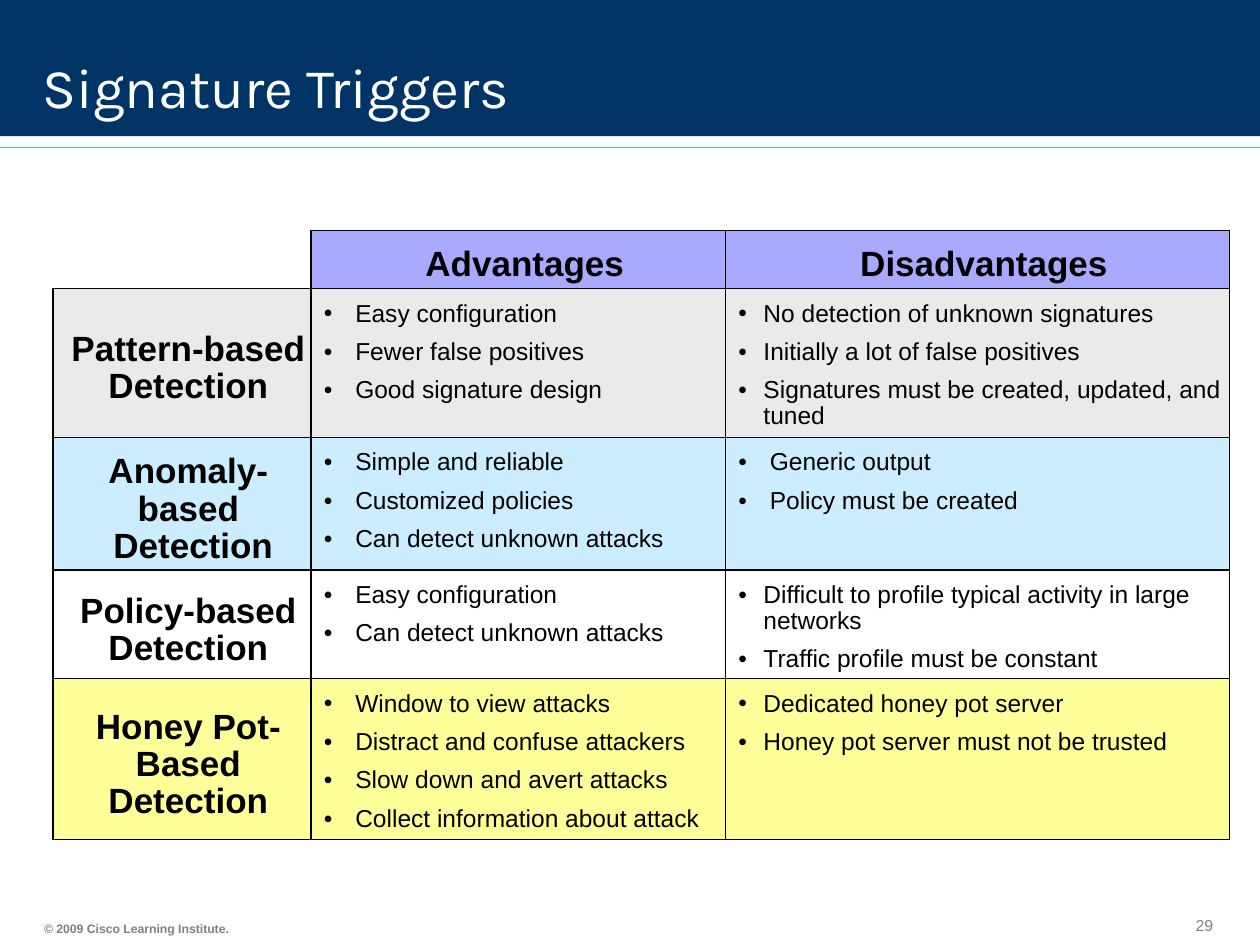
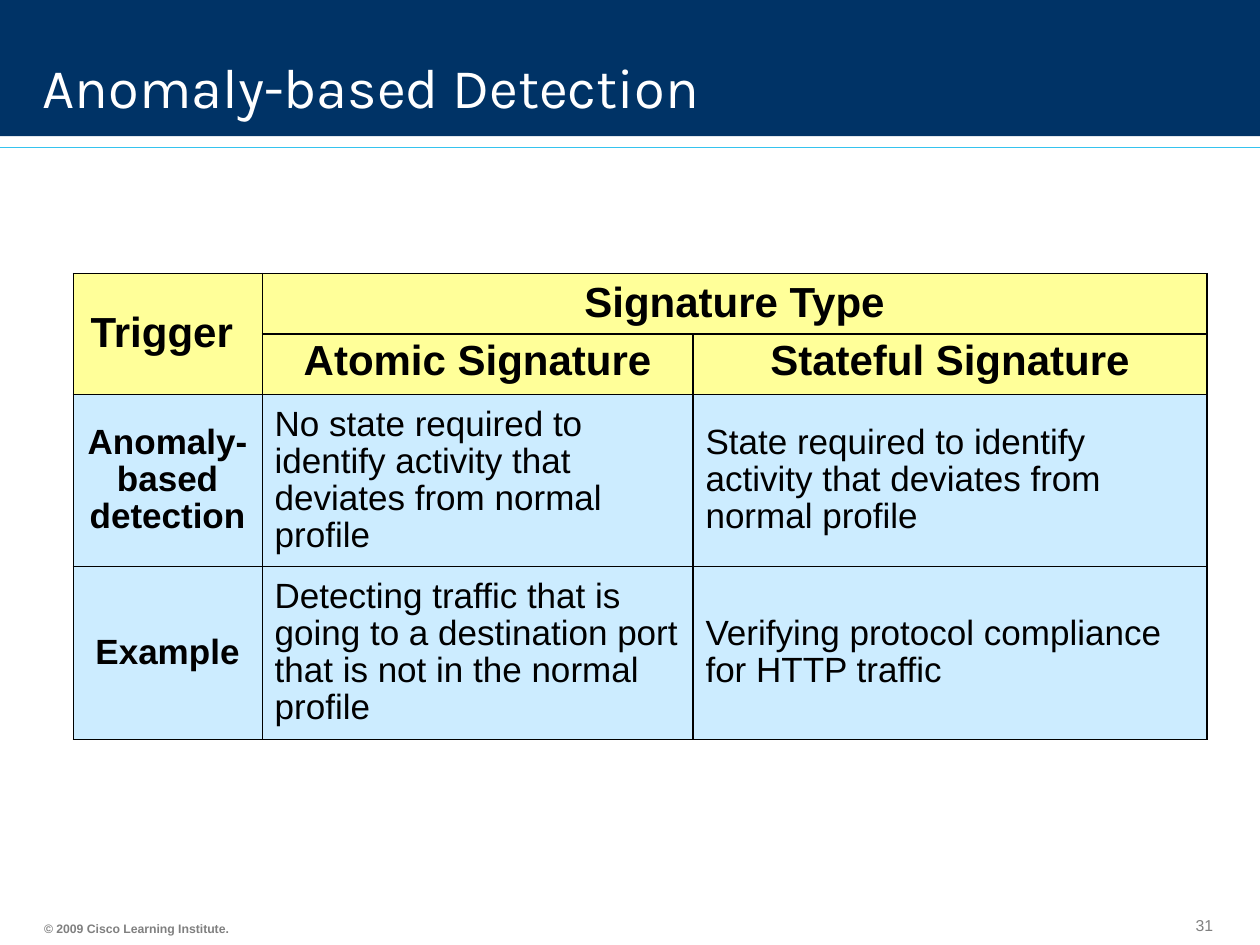
from lxml import etree
from pptx import Presentation, util as u
from pptx.dml.color import RGBColor
from pptx.enum import shapes, text
from pptx.oxml.ns import qn

WIDE, HIGH = 10, 7.5
NAVY, SKY, GREY = "003366", "35C3EE", "808080"
WHITE, BLACK = "FFFFFF", "000000"
LILAC, SILVER, ICE, LEMON = "A9A9FF", "EAEAEA", "CCECFF", "FFFF99"
MID, TOP, LOW = (text.MSO_ANCHOR.MIDDLE, text.MSO_ANCHOR.TOP,
                 text.MSO_ANCHOR.BOTTOM)
CENTER = text.PP_ALIGN.CENTER


def color(code):
    return RGBColor.from_string(code)


def style(para, size, tint=BLACK, bold=False, face="Arial"):
    font = para.font
    font.name, font.size, font.bold = face, u.Pt(size), bold
    font.color.rgb = color(tint)


def label(slide, box, words, size, tint, bold=False, face="Arial", wrap=False):
    frame = slide.shapes.add_textbox(*map(u.Inches, box)).text_frame
    frame.word_wrap, frame.vertical_anchor = wrap, LOW
    frame.margin_left = frame.margin_right = u.Inches(0.09)
    frame.margin_top = frame.margin_bottom = u.Inches(0.04)
    para = frame.paragraphs[0]
    para.text = words
    style(para, size, tint, bold, face)
    return para


def page(deck, title, number):
    """Add a slide with the shared band, rule, footer and title."""
    slide = deck.slides.add_slide(deck.slide_layouts[6])
    band = slide.shapes.add_shape(shapes.MSO_SHAPE.RECTANGLE, 0, 0,
                                  u.Inches(WIDE), u.Inches(1.08))
    band.shadow.inherit = False
    band.fill.solid()
    band.fill.fore_color.rgb = color(NAVY)
    band.line.fill.background()
    label(slide, (0.94 * WIDE, 7.22, 0.33, 0.24), str(number), 9, GREY)
    label(slide, (0.26, 7.26, 1.66, 0.21),
          "© 2009 Cisco Learning Institute.", 7, GREY, True)
    y = u.Inches(1.17)
    rule = slide.shapes.add_connector(shapes.MSO_CONNECTOR.STRAIGHT,
                                      0, y, u.Inches(WIDE), y)
    rule.line.color.rgb = color(SKY)
    rule.line.width = u.Pt(0.75)
    etree.SubElement(rule._element.spPr, qn("a:effectLst"))
    head = label(slide, (0.25, 0.08, 9.33, 0.92), title, 32, WHITE,
                 face="Karla", wrap=True)
    head.line_spacing = 0.9
    return slide


def grid(slide, left, top, cols, rows):
    frame = slide.shapes.add_table(
        len(rows), len(cols), u.Inches(left), u.Inches(top),
        u.Inches(sum(cols)), u.Inches(sum(rows)))
    table = frame.table
    table.first_row = table.horz_banding = False
    for col, size in zip(table.columns, cols):
        col.width = u.Inches(size)
    for row, size in zip(table.rows, rows):
        row.height = u.Inches(size)
    return table


def border(cell, width, sides="LRTB"):
    """Draw the named sides in black and leave the others open."""
    props = cell._tc.get_or_add_tcPr()
    for side in "LRTB":
        line = etree.SubElement(props, qn("a:ln" + side),
                                w=str(u.Pt(width)))
        if side in sides:
            fill = etree.SubElement(line, qn("a:solidFill"))
            etree.SubElement(fill, qn("a:srgbClr"), val=BLACK)
        else:
            etree.SubElement(line, qn("a:noFill"))


def paint(cell, fill, width):
    border(cell, width)
    cell.fill.solid()
    cell.fill.fore_color.rgb = color(fill)


def inset(cell):
    cell.margin_left = cell.margin_top = u.Inches(0.1)
    cell.margin_right = cell.margin_bottom = 0


def write(cell, words, size, bold=False, align=None, anchor=MID):
    cell.vertical_anchor = anchor
    para = cell.text_frame.paragraphs[0]
    para.text = words
    para.alignment, para.line_spacing = align, 0.95
    style(para, size, bold=bold)


def bullets(cell, items, gap):
    """List the items with a hanging indent of gap inches."""
    cell.vertical_anchor = TOP
    frame = cell.text_frame
    for i, item in enumerate(items):
        para = frame.add_paragraph() if i else frame.paragraphs[0]
        para.text, para.line_spacing = item, 0.95
        if i:
            para.space_before = u.Pt(7)
        props = para._p.get_or_add_pPr()
        props.set("marL", str(u.Inches(gap)))
        props.set("indent", str(-u.Inches(gap)))
        etree.SubElement(props, qn("a:buFont"), typeface="Arial")
        etree.SubElement(props, qn("a:buChar"), char="•")
        style(para, 14)


TRIGGERS = [
    ("Pattern-based\vDetection", SILVER, 0.2,
     ["Easy configuration", "Fewer false positives", "Good signature design"],
     ["No detection of unknown signatures",
      "Initially a lot of false positives",
      "Signatures must be created, updated, and tuned"]),
    ("Anomaly-based\v Detection", ICE, 0.25,
     ["Simple and reliable", "Customized policies",
      "Can detect unknown attacks"],
     ["Generic output", "Policy must be created"]),
    ("Policy-based\vDetection", WHITE, 0.2,
     ["Easy configuration", "Can detect unknown attacks"],
     ["Difficult to profile typical activity in large networks",
      "Traffic profile must be constant"]),
    ("Honey Pot-Based\vDetection", LEMON, 0.2,
     ["Window to view attacks", "Distract and confuse attackers",
      "Slow down and avert attacks", "Collect information about attack"],
     ["Dedicated honey pot server", "Honey pot server must not be trusted"]),
]

DETAILS = [
    ("Anomaly-based detection",
     "No state required to identify activity that deviates from normal "
     "profile",
     "State required to identify activity that deviates from normal profile"),
    ("Example",
     "Detecting traffic that is going to a destination port that is not in "
     "the normal profile",
     "Verifying protocol compliance for HTTP traffic"),
]


def compare(slide):
    table = grid(slide, 0.42, 1.83, (2.05, 3.29, 4),
                 (0.46, 1.13, 0.98, 0.82, 1.25))
    blank = table.cell(0, 0)
    border(blank, 1, "RB")
    blank.fill.background()
    for c, head in enumerate(("Advantages", "Disadvantages"), 1):
        cell = table.cell(0, c)
        paint(cell, LILAC, 1)
        inset(cell)
        write(cell, head, 20, True, CENTER)
    for r, (name, fill, gap, pros, cons) in enumerate(TRIGGERS, 1):
        cells = [table.cell(r, c) for c in range(3)]
        for cell in cells:
            paint(cell, fill, 1)
            inset(cell)
        write(cells[0], name, 20, True, CENTER)
        bullets(cells[1], pros, 0.25)
        bullets(cells[2], cons, gap)


def explain(slide):
    table = grid(slide, 0.58, 2.17, (1.5, 3.42, 4.08),
                 (0.46, 0.45, 1.28, 1.28))
    for r in range(4):
        for c in range(3):
            paint(table.cell(r, c), LEMON if r < 2 else ICE, 0.75)
    table.cell(0, 0).merge(table.cell(1, 0))
    table.cell(0, 1).merge(table.cell(0, 2))
    heads = [(0, 0, "Trigger ", MID), (0, 1, "Signature Type", MID),
             (1, 1, "Atomic Signature", TOP),
             (1, 2, "Stateful Signature", TOP)]
    for r, c, words, anchor in heads:
        write(table.cell(r, c), words, 24, True, CENTER, anchor)
    for r, (name, *notes) in enumerate(DETAILS, 2):
        write(table.cell(r, 0), name, 20, True, CENTER)
        for c, note in enumerate(notes, 1):
            write(table.cell(r, c), note, 20)


def main():
    deck = Presentation()
    deck.slide_width, deck.slide_height = u.Inches(WIDE), u.Inches(HIGH)
    compare(page(deck, "Signature Triggers", 29))
    explain(page(deck, "Anomaly-based Detection", 31))
    deck.save("out.pptx")


if __name__ == "__main__":
    main()
